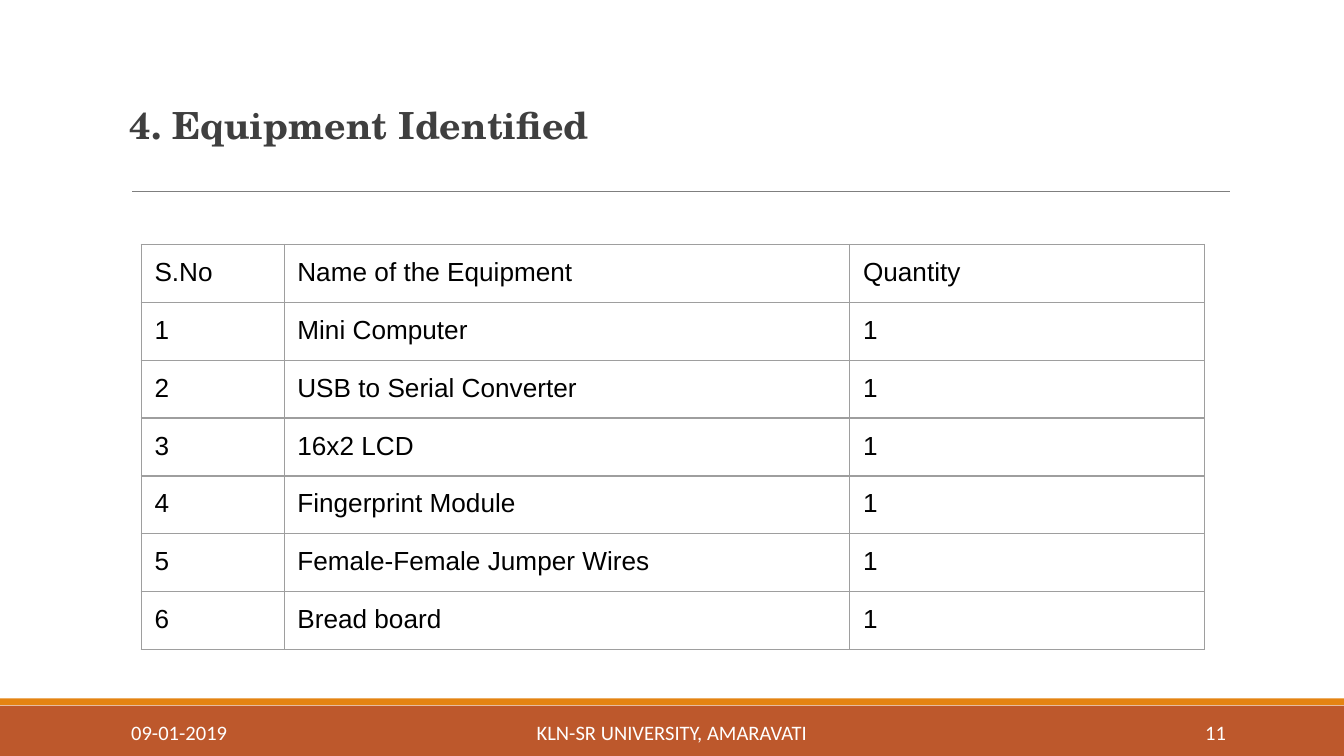
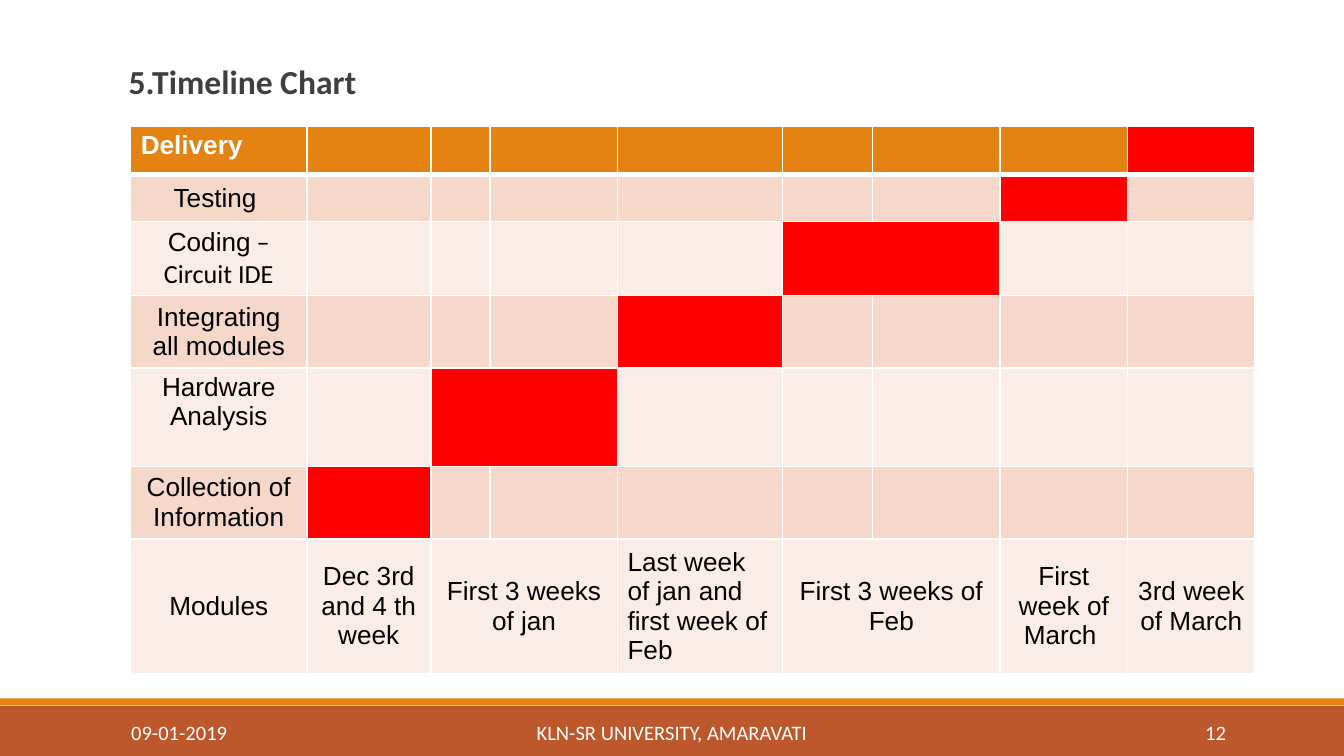
from dataclasses import dataclass

from lxml.etree import SubElement
from pptx import Presentation
from pptx.dml.color import RGBColor
from pptx.enum.shapes import MSO_CONNECTOR, MSO_SHAPE
from pptx.enum.text import MSO_ANCHOR, PP_ALIGN
from pptx.oxml.ns import qn
from pptx.slide import Slide
from pptx.table import Table, _Cell
from pptx.text.text import TextFrame
from pptx.util import Cm, Pt

ORANGE = RGBColor(0xE4, 0x83, 0x12)
RUST = RGBColor(0xBD, 0x58, 0x2C)
RED = RGBColor(0xFF, 0x00, 0x00)
PEACH = RGBColor(0xF5, 0xD8, 0xCA)
PALE_PEACH = RGBColor(0xFA, 0xEC, 0xE6)
WHITE = RGBColor(0xFF, 0xFF, 0xFF)
BLACK = RGBColor(0x00, 0x00, 0x00)
CHARCOAL = RGBColor(0x3F, 0x3F, 0x3F)
RULE_GREY = RGBColor(0x7F, 0x7F, 0x7F)
BORDER_GREY = RGBColor(0x9E, 0x9E, 0x9E)

SLIDE_WIDTH, SLIDE_HEIGHT = 25.4, 14.29
BODY_FONT, TITLE_FONT, TABLE_FONT = "Calibri", "TeX Gyre Schola", "Arial"


@dataclass(frozen=True)
class Area:
    """A rectangle in centimetres."""
    left: float
    top: float
    width: float
    height: float

    def lengths(self) -> tuple[Cm, Cm, Cm, Cm]:
        return Cm(self.left), Cm(self.top), Cm(self.width), Cm(self.height)


@dataclass(frozen=True)
class TextStyle:
    font: str
    size: float
    color: RGBColor
    bold: bool = False
    align: PP_ALIGN = PP_ALIGN.LEFT
    line_spacing: float = 1.0


@dataclass(frozen=True)
class Band:
    area: Area
    color: RGBColor


@dataclass(frozen=True)
class FooterPart:
    area: Area
    text: str
    align: PP_ALIGN


@dataclass(frozen=True)
class Phase:
    """A project phase, its row height and the table columns its bar covers."""
    label: str
    height: float
    column: int
    period: str
    span: int = 1
    suffix: str = ""
    anchor: MSO_ANCHOR = MSO_ANCHOR.MIDDLE
    period_align: PP_ALIGN = PP_ALIGN.CENTER


BANDS = [
    Band(Area(0, 13.34, SLIDE_WIDTH, 0.95), RUST),
    Band(Area(0, 13.2, SLIDE_WIDTH, 0.13), ORANGE),
]
EQUIPMENT_COLUMNS = [2.7, 10.69, 6.71]
EQUIPMENT_ROW_HEIGHT = 1.06
EQUIPMENT = [
    "Mini Computer",
    "USB to Serial Converter",
    "16x2 LCD",
    "Fingerprint Module",
    "Female-Female Jumper Wires",
    "Bread board",
]
TIMELINE_COLUMNS = [3.33, 2.34, 1.12, 2.41, 3.12, 1.7, 2.41, 2.41, 2.41]
PERIODS_HEIGHT = 2.4
PHASES = [
    Phase("Delivery", 0.91, 8, "3rd week of March", anchor=MSO_ANCHOR.TOP),
    Phase("Testing ", 0.89, 7, "First week of March "),
    Phase("Coding", 1.4, 5, "First 3 weeks of Feb", span=2, suffix=" – Circuit IDE"),
    Phase("Integrating all modules", 1.28, 4, "Last week of jan and first week of Feb",
          period_align=PP_ALIGN.LEFT),
    Phase("Hardware Analysis", 1.86, 2, "First 3 weeks of jan", span=2,
          anchor=MSO_ANCHOR.TOP),
    Phase("Collection of Information", 1.28, 1, "Dec 3rd and 4 th week"),
]
CELL_LEFT = TextStyle(TABLE_FONT, 14, BLACK)
CELL_CENTER = TextStyle(TABLE_FONT, 14, BLACK, align=PP_ALIGN.CENTER)
CELL_HEADER = TextStyle(TABLE_FONT, 14, WHITE, bold=True)


def write(frame: TextFrame, text: str, style: TextStyle) -> None:
    para = frame.paragraphs[0]
    if text:
        para.add_run().text = text
    para.alignment = style.align
    para.line_spacing = style.line_spacing
    para.font.name = style.font
    para.font.size = Pt(style.size)
    para.font.bold = style.bold
    para.font.color.rgb = style.color


def add_text(page: Slide, area: Area, text: str, style: TextStyle,
             anchor: MSO_ANCHOR) -> None:
    frame = page.shapes.add_textbox(*area.lengths()).text_frame
    frame.word_wrap = True
    frame.vertical_anchor = anchor
    frame.margin_left = frame.margin_right = Cm(0.19)
    frame.margin_top = frame.margin_bottom = Cm(0.1)
    write(frame, text, style)


def add_title(page: Slide, area: Area, text: str, font: str, size: float) -> None:
    style = TextStyle(font, size, CHARCOAL, bold=True, line_spacing=0.85)
    add_text(page, area, text, style, MSO_ANCHOR.BOTTOM)


def add_frame(page: Slide, number: int) -> None:
    """Draw the bands, title rule and footer found on every slide."""
    for band in BANDS:
        shape = page.shapes.add_shape(MSO_SHAPE.RECTANGLE, *band.area.lengths())
        shape.shadow.inherit = False
        shape.fill.solid()
        shape.fill.fore_color.rgb = band.color
        shape.line.fill.background()

    rule = page.shapes.add_connector(MSO_CONNECTOR.STRAIGHT,
                                     Cm(2.5), Cm(3.62), Cm(23.24), Cm(3.62))
    rule.line.color.rgb = RULE_GREY
    rule.line.width = Pt(0.75)
    SubElement(rule._element.spPr, qn("a:effectLst"))

    footer = [
        FooterPart(Area(2.29, 13.46, 5.15, 0.76), "09-01-2019", PP_ALIGN.LEFT),
        FooterPart(Area(7.67, 13.46, 10.06, 0.76), "KLN-SR UNIVERSITY, AMARAVATI",
                   PP_ALIGN.CENTER),
        FooterPart(Area(20.62, 13.46, 2.74, 0.76), str(number), PP_ALIGN.RIGHT),
    ]
    for part in footer:
        style = TextStyle(BODY_FONT, 11, WHITE, align=part.align)
        add_text(page, part.area, part.text, style, MSO_ANCHOR.MIDDLE)


def add_grid(page: Slide, left: float, top: float, widths: list[float],
             heights: list[float]) -> Table:
    area = Area(left, top, sum(widths), sum(heights))
    table = page.shapes.add_table(len(heights), len(widths), *area.lengths()).table
    table.first_row = table.horz_banding = False
    for column, width in zip(table.columns, widths):
        column.width = Cm(width)
    for row, height in zip(table.rows, heights):
        row.height = Cm(height)
    return table


def set_borders(cell: _Cell, color: RGBColor, width: float, bottom: float) -> None:
    properties = cell._tc.get_or_add_tcPr()
    for side, points in zip("LRTB", (width, width, width, bottom)):
        line = SubElement(properties, qn(f"a:ln{side}"), w=str(int(Pt(points))))
        fill = SubElement(line, qn("a:solidFill"))
        SubElement(fill, qn("a:srgbClr"), val=str(color))


def set_margins(cell: _Cell, across: float, down: float) -> None:
    cell.margin_left = cell.margin_right = Cm(across)
    cell.margin_top = cell.margin_bottom = Cm(down)


def fill_cell(cell: _Cell, color: RGBColor) -> None:
    cell.fill.solid()
    cell.fill.fore_color.rgb = color


def add_equipment_table(page: Slide) -> None:
    rows = [("S.No", "Name of the Equipment", "Quantity")]
    rows += [(str(number), name, "1") for number, name in enumerate(EQUIPMENT, 1)]
    table = add_grid(page, 2.67, 4.62, EQUIPMENT_COLUMNS,
                     [EQUIPMENT_ROW_HEIGHT] * len(rows))
    for row, texts in zip(table.rows, rows):
        for cell, text in zip(row.cells, texts):
            set_borders(cell, BORDER_GREY, 0.75, 0.75)
            cell.fill.background()
            set_margins(cell, 0.25, 0.25)
            write(cell.text_frame, text, CELL_LEFT)


def add_timeline_table(page: Slide) -> None:
    """Draw one row per phase with its red bar, above a row naming the periods."""
    heights = [phase.height for phase in PHASES] + [PERIODS_HEIGHT]
    table = add_grid(page, 2.47, 2.39, TIMELINE_COLUMNS, heights)
    table.first_row = True
    last = len(PHASES)

    texts = {(last, 0): ("Modules", CELL_CENTER)}
    for index, phase in enumerate(PHASES):
        texts[index, 0] = (phase.label, CELL_CENTER if index else CELL_HEADER)
        style = CELL_LEFT if phase.period_align == PP_ALIGN.LEFT else CELL_CENTER
        texts[last, phase.column] = (phase.period, style)

    for index, row in enumerate(table.rows):
        band = ORANGE if index == 0 else PEACH if index % 2 else PALE_PEACH
        for column, cell in enumerate(row.cells):
            set_borders(cell, WHITE, 1, 1 if index else 3)
            fill_cell(cell, band)
            set_margins(cell, 0.19, 0.09)
            cell.vertical_anchor = MSO_ANCHOR.MIDDLE
            write(cell.text_frame, *texts.get((index, column), ("", CELL_LEFT)))

    for index, phase in enumerate(PHASES):
        label = table.cell(index, 0)
        label.vertical_anchor = phase.anchor
        if phase.suffix:
            span = label.text_frame.paragraphs[0].add_run()
            span.text = phase.suffix
            span.font.name = BODY_FONT
        fill_cell(table.cell(index, phase.column), RED)
        if phase.span > 1:
            end = phase.column + phase.span - 1
            for row_index in (index, last):
                table.cell(row_index, phase.column).merge(table.cell(row_index, end))


def main() -> None:
    deck = Presentation()
    deck.slide_width, deck.slide_height = Cm(SLIDE_WIDTH), Cm(SLIDE_HEIGHT)
    blank = deck.slide_layouts[6]

    equipment = deck.slides.add_slide(blank)
    add_frame(equipment, 11)
    add_title(equipment, Area(2.26, 1.19, 20.96, 1.7), "4. Equipment Identified",
              TITLE_FONT, 20)
    add_equipment_table(equipment)

    timeline = deck.slides.add_slide(blank)
    add_frame(timeline, 12)
    add_title(timeline, Area(2.24, 0.61, 20.96, 1.4), "5.Timeline Chart", BODY_FONT, 18)
    add_timeline_table(timeline)

    deck.save("out.pptx")


if __name__ == "__main__":
    main()
